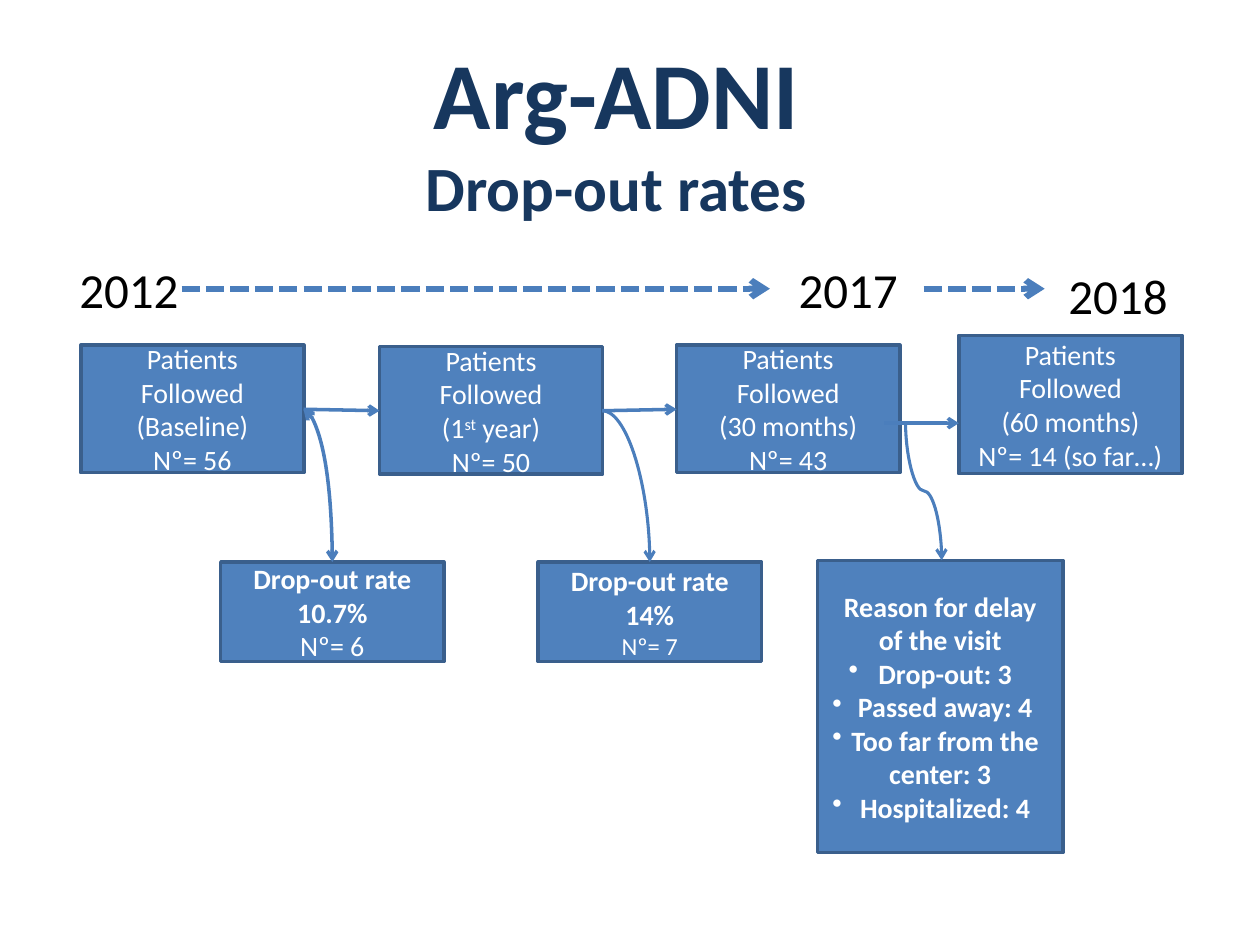
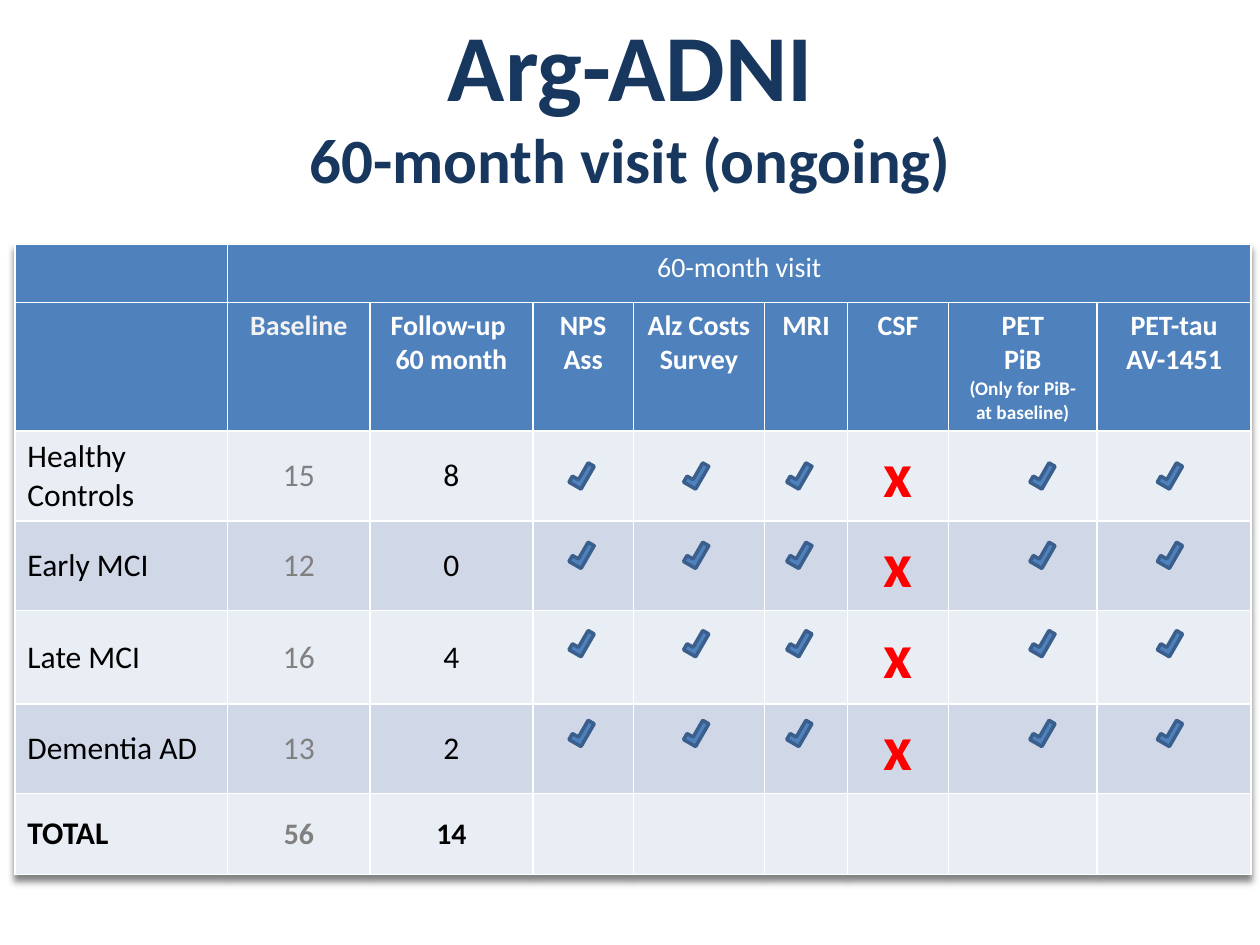
import dataclasses

import lxml.etree
import pptx
import pptx.dml.color
import pptx.enum.dml
import pptx.enum.shapes
import pptx.enum.text
import pptx.oxml
import pptx.oxml.ns
import pptx.util

Cm, Pt = pptx.util.Cm, pptx.util.Pt
RGB = pptx.dml.color.RGBColor.from_string
qn = pptx.oxml.ns.qn
SHAPE = pptx.enum.shapes.MSO_SHAPE
CONNECTOR = pptx.enum.shapes.MSO_CONNECTOR
ALIGN = pptx.enum.text.PP_ALIGN
MIDDLE = pptx.enum.text.MSO_ANCHOR.MIDDLE


@dataclasses.dataclass(frozen=True)
class Theme:
    font: str = "Calibri"
    navy: str = "17375E"
    blue: str = "4F81BD"
    outline: str = "3A5F8C"
    arrow: str = "4B7EBC"
    black: str = "000000"
    white: str = "FFFFFF"
    off_white: str = "F2F2F2"
    grey: str = "808080"
    red: str = "FF0000"
    bands: tuple = ("E9EDF4", "D0D8E8")
    title: int = 54
    subtitle: int = 36
    year: int = 28
    body: int = 18
    total: int = 17
    small: int = 16
    count: int = 14
    note: int = 11
    cross: int = 36


THEME = Theme()


def style_paragraphs(paragraphs, size, color, bold=False, align=ALIGN.CENTER):
    for p in paragraphs:
        p.alignment = align
        for r in p.runs:
            r.font.name = THEME.font
            r.font.size = Pt(size)
            r.font.bold = bold
            r.font.color.rgb = RGB(color)


def add_blue_shape(s, kind, x, y, w, h):
    sp = s.shapes.add_shape(kind, Cm(x), Cm(y), Cm(w), Cm(h))
    sp.shadow.inherit = False
    sp.fill.solid()
    sp.fill.fore_color.rgb = RGB(THEME.blue)
    sp.line.color.rgb = RGB(THEME.outline)
    sp.line.width = Pt(2)
    return sp


prs = pptx.Presentation()
prs.slide_width, prs.slide_height = Cm(25.4), Cm(19.05)

# Both slides: two-line title
for subtitle, x, y in [("Drop-out rates", 1.63, 0.56), ("60-month visit (ongoing)", 1.91, 0)]:
    s = prs.slides.add_slide(prs.slide_layouts[5])
    title = s.shapes.title
    title.left, title.top, title.width, title.height = Cm(x), Cm(y), Cm(21.59), Cm(4.09)
    tf = title.text_frame
    tf.text = "Arg-ADNI\n" + subtitle
    tf.auto_size = pptx.enum.text.MSO_AUTO_SIZE.NONE
    tf.vertical_anchor = MIDDLE
    style_paragraphs(tf.paragraphs[:1], THEME.title, THEME.navy, True)
    style_paragraphs(tf.paragraphs[1:], THEME.subtitle, THEME.navy, True)

flow, visit = prs.slides

# Slide 1: years
for year, x, y in [("2012", 1.35, 5.1), ("2017", 15.85, 5.1), ("2018", 21.29, 5.23)]:
    tf = flow.shapes.add_textbox(Cm(x), Cm(y), Cm(2.54), Cm(1.45)).text_frame
    tf.text = year
    tf.word_wrap = False
    style_paragraphs(tf.paragraphs, THEME.year, THEME.black, align=ALIGN.LEFT)

# Slide 1: follow-up boxes, then drop-out boxes; the last number counts bold paragraphs
boxes = [
    (1.63, 6.96, 4.5, 2.57, "Patients Followed\n(Baseline)\nNº= 56", 0),
    (7.65, 6.99, 4.5, 2.57, "Patients Followed\n(1st year)\nNº= 50", 0),
    (13.64, 6.96, 4.5, 2.57, "Patients Followed\n(30 months)\nNº= 43", 0),
    (19.33, 6.76, 4.5, 2.79, "Patients Followed\n(60 months)\nNº= 14 (so far…)", 0),
    (4.45, 11.33, 4.5, 2.01, "Drop-out rate 10.7%\nNº= 6", 1),
    (10.85, 11.33, 4.5, 2.01, "Drop-out rate 14%\nNº= 7", 1),
    (16.48, 11.3, 4.95, 5.89,
     "Reason for delay of the visit\nDrop-out: 3\nPassed away: 4\n"
     "Too far from the center: 3\nHospitalized: 4", 5),
]
frames = []
for x, y, w, h, text, bold_count in boxes:
    tf = add_blue_shape(flow, SHAPE.RECTANGLE, x, y, w, h).text_frame
    tf.word_wrap = True
    tf.margin_left = tf.margin_right = Cm(0.3)
    tf.vertical_anchor = MIDDLE
    tf.text = text
    style_paragraphs(tf.paragraphs[:bold_count], THEME.small, THEME.white, True)
    style_paragraphs(tf.paragraphs[bold_count:], THEME.small, THEME.white)
    frames.append(tf)

first_year, second_dropout, reasons = frames[1], frames[5], frames[6]
p = first_year.paragraphs[1]
p.text = "(1"
for part in ("st", " year)"):
    p.add_run().text = part
style_paragraphs([p], THEME.small, THEME.white)
p.runs[1].font._element.set("baseline", "30000")
style_paragraphs(second_dropout.paragraphs[1:], THEME.count, THEME.white)
for p in reasons.paragraphs[1:]:
    lxml.etree.SubElement(p._p.get_or_add_pPr(), qn("a:buChar")).set("char", "•")

# Slide 1: arrows (kind, from, to, width, dashed, ends)
straight, curve = CONNECTOR.STRAIGHT, CONNECTOR.CURVE
arrows = [
    (straight, (3.66, 5.82), (15.52, 5.82), 3.5, True, ["tailEnd"]),
    (straight, (18.62, 5.82), (21.06, 5.82), 3.5, True, ["tailEnd"]),
    (straight, (6.12, 8.25), (7.65, 8.28), 2, False, ["tailEnd"]),
    (straight, (12.14, 8.28), (13.64, 8.25), 2, False, ["tailEnd"]),
    (straight, (17.83, 8.53), (19.33, 8.53), 2, False, ["tailEnd"]),
    (curve, (6.12, 8.25), (6.7, 11.33), 2, False, ["headEnd", "tailEnd"]),
    (curve, (12.14, 8.28), (13.1, 11.33), 1.75, False, ["tailEnd"]),
    (curve, (20.02, 9.53), (17.22, 10.26), 1.75, False, ["tailEnd"]),
]
curves = []
for kind, start, end, width, dashed, ends in arrows:
    cn = flow.shapes.add_connector(kind, *map(Cm, start + end))
    cn.line.color.rgb = RGB(THEME.arrow)
    cn.line.width = Pt(width)
    if dashed:
        cn.line.dash_style = pptx.enum.dml.MSO_LINE.SQUARE_DOT
    for tag in ends:
        lxml.etree.SubElement(cn.line._get_or_add_ln(), qn("a:" + tag)).set("type", "arrow")
    lxml.etree.SubElement(cn._element.spPr, qn("a:effectLst"))
    if kind == curve:
        curves.append(cn._element.spPr)
for sp_pr in curves[:2]:
    sp_pr.find(qn("a:prstGeom")).set("prst", "curvedConnector2")
# The S-curve is laid out sideways and turned a three-quarter turn
curves[2].find(qn("a:xfrm")).set("rot", str(270 * 60000))

# Slide 2: table
widths = [4.29, 2.87, 3.28, 2.03, 2.64, 1.68, 2.03, 3, 3.1]
heights = [1.17, 2.59, 1.8, 1.8, 1.88, 1.8, 1.63]
headings = ["", "Baseline", "Follow-up \v60 month", "NPS\nAss", "Alz Costs Survey", "MRI",
            "CSF", "PET\vPiB\n(Only for PiB- at baseline)", "PET-tau AV-1451"]
groups = [("Healthy Controls", "15", "8"), ("Early MCI", "12", "0"),
          ("Late MCI", "16", "4"), ("Dementia AD", "13", "2")]
rows = [["", "60-month visit"] + [""] * 7, headings]
rows += [[*group, "", "", "", "x", "", ""] for group in groups]
rows.append(["TOTAL", "56", "14"] + [""] * 6)

frame = visit.shapes.add_table(len(rows), len(widths), Cm(0.3), Cm(4.93),
                               Cm(sum(widths)), Cm(sum(heights)))
table = frame.table
table.first_row = table.horz_banding = False
table._tbl.tblPr.insert(0, pptx.oxml.parse_xml(
    '<a:effectLst xmlns:a="http://schemas.openxmlformats.org/drawingml/2006/main">'
    '<a:outerShdw blurRad="50800" dist="38100" dir="5400000" algn="t" rotWithShape="0">'
    '<a:srgbClr val="000000"><a:alpha val="50000"/></a:srgbClr></a:outerShdw></a:effectLst>'))
for column, width in zip(table.columns, widths):
    column.width = Cm(width)
for row, height in zip(table.rows, heights):
    row.height = Cm(height)

for i, texts in enumerate(rows):
    for j, text in enumerate(texts):
        cell = table.cell(i, j)
        cell.text = text
        tc_pr = cell._tc.get_or_add_tcPr()
        for side in ("lnL", "lnR", "lnT", "lnB"):
            ln = lxml.etree.SubElement(tc_pr, qn("a:" + side), w=str(Pt(1)))
            fill = lxml.etree.SubElement(ln, qn("a:solidFill"))
            lxml.etree.SubElement(fill, qn("a:srgbClr"), val=THEME.white)
        header, total = i < 2, i == len(rows) - 1
        cell.fill.solid()
        cell.fill.fore_color.rgb = RGB(THEME.blue if header else THEME.bands[i % 2])
        size, color, bold = THEME.body, THEME.black, total
        if header:
            size, bold = THEME.small, i == 1
            color = THEME.off_white if text == "Baseline" else THEME.white
        else:
            cell.vertical_anchor = MIDDLE
            if text == "x":
                size, color, bold = THEME.cross, THEME.red, True
            elif j == 1:
                color = THEME.grey
            if total and j:
                size = THEME.total
        align = ALIGN.CENTER if header or j else ALIGN.LEFT
        style_paragraphs(cell.text_frame.paragraphs, size, color, bold, align)
table.cell(0, 1).merge(table.cell(0, 8))
style_paragraphs(table.cell(1, 7).text_frame.paragraphs[1:], THEME.note, THEME.white, True)

# Slide 2: tick marks
for y in (9.42, 11.02, 12.8, 14.61):
    for x in (11.46, 13.77, 15.85, 20.75, 23.32):
        add_blue_shape(visit, SHAPE.CORNER, x, y, 0.53, 0.28).rotation = 300

prs.save("out.pptx")
